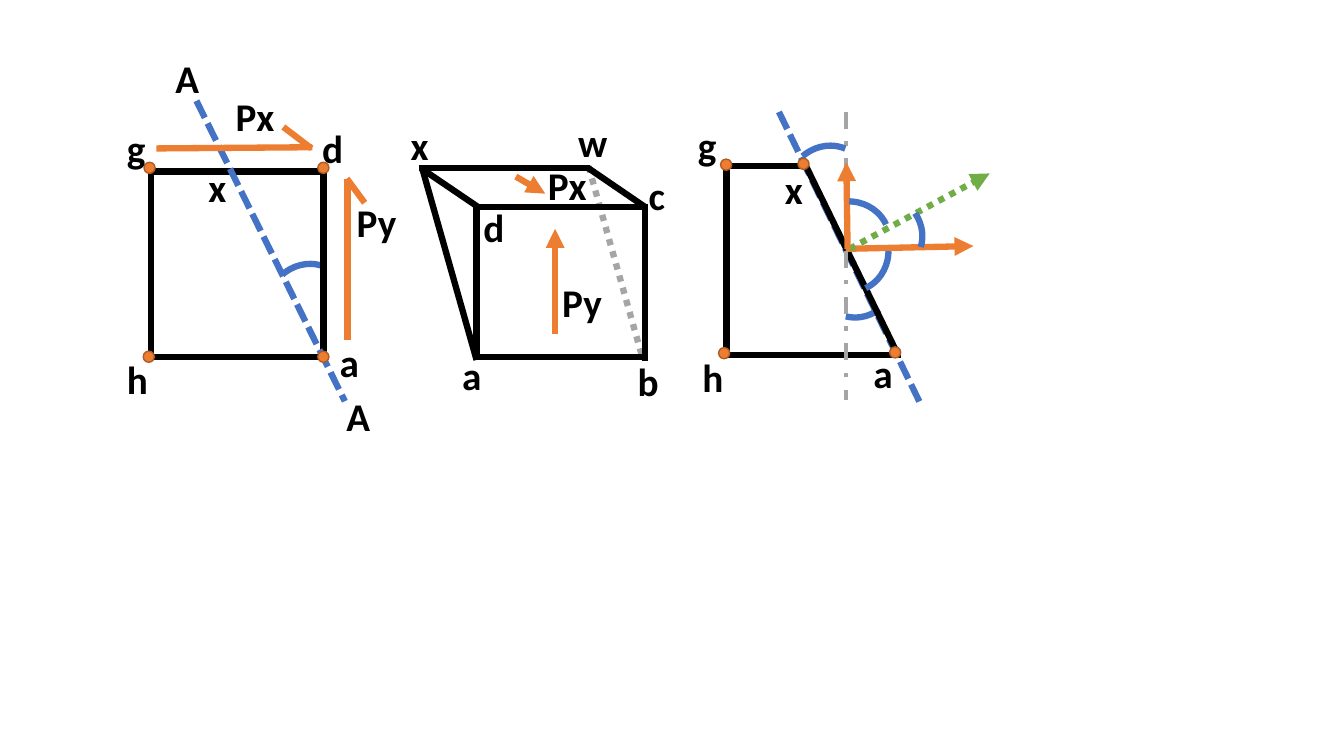
from lxml.etree import SubElement
from pptx import Presentation
from pptx.dml.color import RGBColor
from pptx.enum.dml import MSO_LINE
from pptx.enum.shapes import MSO_CONNECTOR, MSO_SHAPE
from pptx.enum.text import MSO_AUTO_SIZE
from pptx.oxml.ns import qn
from pptx.util import Cm, Pt

BLACK = RGBColor(0x00, 0x00, 0x00)
BLUE = RGBColor(0x44, 0x72, 0xC4)
ORANGE = RGBColor(0xED, 0x7D, 0x31)
RUST = RGBColor(0xAF, 0x5C, 0x24)
GREEN = RGBColor(0x70, 0xAD, 0x47)
GREY = RGBColor(0xA5, 0xA5, 0xA5)

DOT = 0.28
OVERHANG = 0.05


def add_lines(slide, box, segments, color, width=4.5, dash=None, arrow=False):
    left, top = box[:2]
    for x1, y1, x2, y2 in segments:
        segment = slide.shapes.add_connector(
            MSO_CONNECTOR.STRAIGHT,
            Cm(left + x1), Cm(top + y1), Cm(left + x2), Cm(top + y2))
        segment.line.color.rgb = color
        segment.line.width = Pt(width)
        if dash is not None:
            segment.line.dash_style = dash
        if arrow:
            SubElement(segment.line._get_or_add_ln(), qn("a:tailEnd"), type="triangle")
        SubElement(segment._element.spPr, qn("a:effectLst"))


def add_angles(slide, box, angles):
    left, top = box[:2]
    for x, y, rotation, start in angles:
        angle = slide.shapes.add_shape(
            MSO_SHAPE.ARC, Cm(left + x), Cm(top + y), Cm(2.18), Cm(2.01))
        angle.adjustments[0] = start
        angle.adjustments[1] = 211.1
        angle.rotation = rotation
        angle.shadow.inherit = False
        angle.fill.background()
        angle.line.color.rgb = BLUE
        angle.line.width = Pt(4.5)


def add_corners(slide, box, centers):
    left, top = box[:2]
    for x, y in centers:
        corner = slide.shapes.add_shape(
            MSO_SHAPE.OVAL, Cm(left + x - DOT / 2), Cm(top + y - DOT / 2), Cm(DOT), Cm(DOT))
        corner.shadow.inherit = False
        corner.fill.solid()
        corner.fill.fore_color.rgb = ORANGE
        corner.line.color.rgb = RUST
        corner.line.width = Pt(1)


def add_labels(slide, box, labels):
    left, top = box[:2]
    for wording, x, y in labels:
        width = 1.6 if len(wording) > 1 else 0.99 if wording in "Adgh" else 1.09
        label = slide.shapes.add_textbox(Cm(left + x), Cm(top + y), Cm(width), Cm(1.45))
        frame = label.text_frame
        frame.word_wrap = True
        frame.auto_size = MSO_AUTO_SIZE.SHAPE_TO_FIT_TEXT
        frame.text = wording
        font = frame.paragraphs[0].runs[0].font
        font.name = "Calibri"
        font.size = Pt(28)
        font.bold = True
        font.color.rgb = BLACK


def add_cut_square(slide, box):
    width, height = box[2:]
    add_angles(slide, box, [(2.84, 2.39, 302.8, 173.46)])
    sides = [(x, -OVERHANG, x, height + OVERHANG) for x in (0, width)]
    sides += [(-OVERHANG, y, width + OVERHANG, y) for y in (0, height)]
    add_lines(slide, box, sides, BLACK)
    add_lines(slide, box, [(1.14, -1.78, 4.88, 5.79)], BLUE, dash=MSO_LINE.SQUARE_DOT)
    add_corners(slide, box, [(-0.04, -0.09), (-0.06, height),
                             (width, height), (width, -0.09)])
    add_lines(slide, box, [(0.13, -0.58, 4.06, -0.61), (4.95, 0.18, 4.95, 4.24),
                           (4.04, -0.58, 3.33, -1.12), (5.38, 0.79, 4.93, 0.18)], ORANGE)
    add_labels(slide, box, [
        ("A", 0.36, -3.07), ("A", 4.67, 5.44), ("d", 4.06, -1.32),
        ("g", -0.86, -1.3), ("h", -0.86, 4.52), ("a", 4.5, 4.09),
        ("Px", 1.88, -2.13), ("Py", 4.93, 0.56), ("x", 1.19, -0.33)])


def add_wedge(slide, box):
    width, height = box[2:]
    back = -0.97
    add_lines(slide, box, [(2.82, -1.02, 4.19, 3.84)], GREY, dash=MSO_LINE.ROUND_DOT)
    add_lines(slide, box, [
        (-1.45, back, 2.87, back), (0, 0, width + 0.08, 0),
        (-1.4, back, 0.03, 0), (2.82, back, width, 0),
        (0, 0, 0, height + 0.08), (width, 0.03, width, height + 0.11),
        (0.03, height, width, height), (-1.37, back, 0, height + 0.08)], BLACK)
    add_lines(slide, box, [(1.98, 3.2, 1.98, 0.56), (0.99, -0.76, 1.73, -0.33)],
              ORANGE, arrow=True)
    add_labels(slide, box, [
        ("Px", 1.55, -1.27), ("Py", 1.91, 1.68), ("a", -0.61, 3.51),
        ("b", 3.81, 3.68), ("c", 4.09, -1.02), ("d", -0.08, -0.2),
        ("x", -1.91, -2.29), ("w", 2.31, -2.36)])


def add_stress_angles(slide, box):
    width, height = box[2:]
    add_angles(slide, box, [(2.21, 1.73, 114, 182.32)])
    add_lines(slide, box, [(1.32, -1.37, 4.88, 5.97)], BLUE, dash=MSO_LINE.SQUARE_DOT)
    add_lines(slide, box, [
        (0, 0, 0, height + OVERHANG), (-0.03, height, width + 0.07, height),
        (-0.08, 0, 2.06, 0), (1.98, -0.05, width, height)], BLACK)
    add_lines(slide, box, [(3, 2.08, 6.22, 2.01)], ORANGE, arrow=True)
    add_lines(slide, box, [(3, -1.37, 3, 5.89)], GREY, width=3, dash=MSO_LINE.DASH_DOT)
    add_angles(slide, box, [(1.45, -0.46, 302.8, 173.46), (1.98, 1.07, 74.5, 173.46)])
    add_corners(slide, box, [(4.25, 4.69), (-0.01, -0.04), (-0.06, 4.71), (1.94, -0.06)])
    add_lines(slide, box, [(3.1, 2.08, 6.63, 0.18)], GREEN,
              dash=MSO_LINE.ROUND_DOT, arrow=True)
    add_lines(slide, box, [(3.05, 2.08, 3.02, -0.1)], ORANGE, arrow=True)
    add_angles(slide, box, [(2.77, 0.69, 26.4, 182.32), (1.93, 0.89, 345, 173.46)])
    add_labels(slide, box, [("a", 3.45, 4.5), ("g", -0.97, -1.27),
                            ("h", -0.86, 4.6), ("x", 1.22, -0.15)])


def main():
    presentation = Presentation()
    presentation.slide_width = Cm(33.87)
    presentation.slide_height = Cm(19.05)
    slide = presentation.slides.add_slide(presentation.slide_layouts[6])
    add_cut_square(slide, (3.81, 4.32, 4.34, 4.67))
    add_wedge(slide, (12.01, 5.21, 4.24, 3.78))
    add_stress_angles(slide, (18.31, 4.19, 4.32, 4.75))
    presentation.save("out.pptx")


if __name__ == "__main__":
    main()
